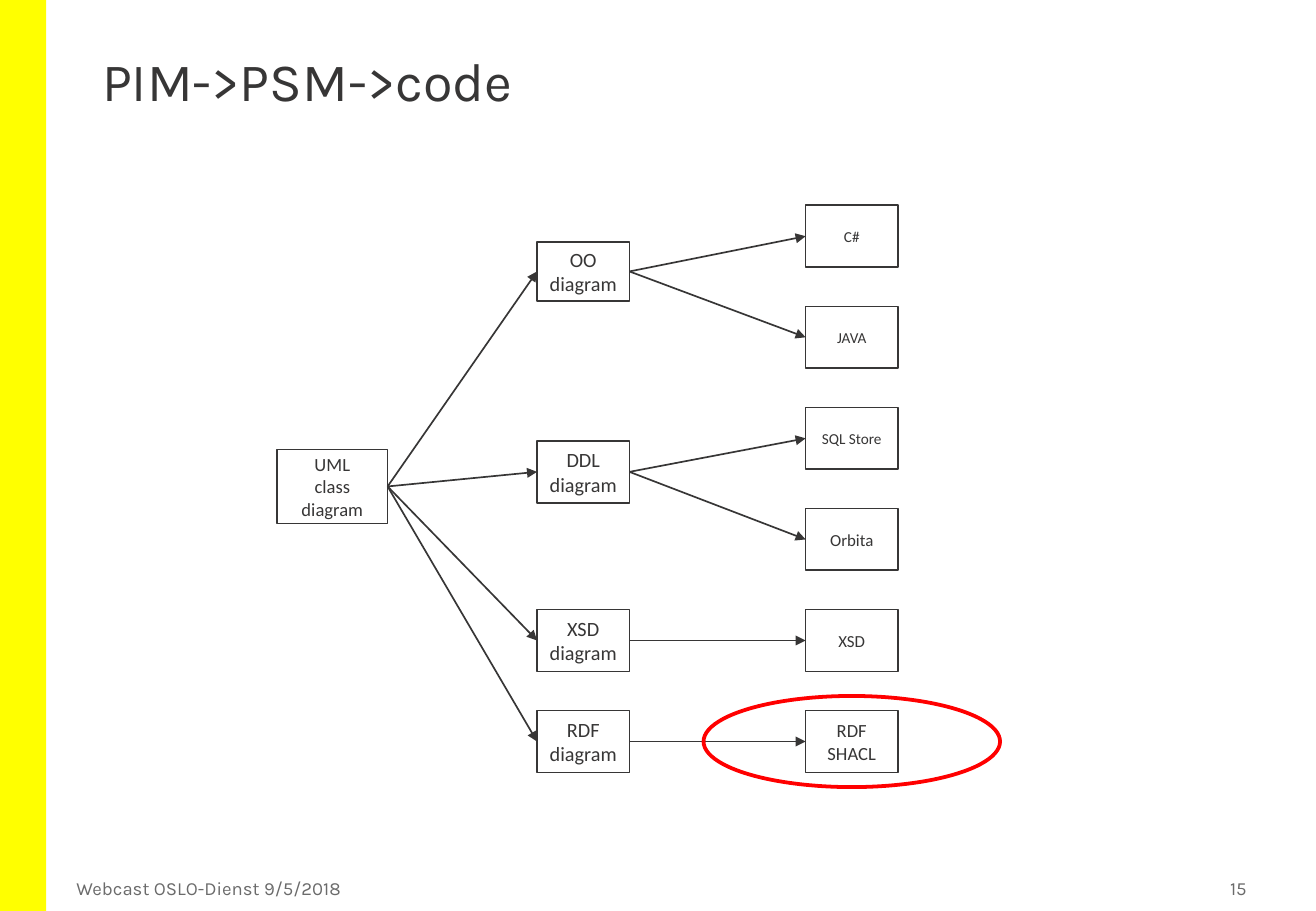
import pptx
import pptx.util
import pptx.dml.color
import pptx.enum.shapes
import pptx.enum.text
import pptx.oxml

Inches = pptx.util.Inches
Shape = pptx.enum.shapes.MSO_SHAPE
Align = pptx.enum.text.PP_ALIGN
Anchor = pptx.enum.text.MSO_ANCHOR

INK = "373636"
GREY = "6B6B6B"
PITCH = 0.832
BOX_W, BOX_H = 0.76, 0.51

# Each branch: label, top from the tree's top, height, leaves (label, size)
BRANCHES = [
    ("OO\ndiagram", 0.3, 0.49, [("C#", 9), ("JAVA", 9)]),
    ("DDL\ndiagram", 1.94, BOX_H, [("SQL Store", 9), ("Orbita", 10)]),
    ("XSD\ndiagram", 4 * PITCH, BOX_H, [("XSD", 10)]),
    ("RDF\ndiagram", 5 * PITCH, BOX_H, [("RDF\nSHACL", 11)]),
]


def tint(code):
    return pptx.dml.color.RGBColor.from_string(code)


def write(frame, text, size, font="Karla", color=INK, align=Align.LEFT,
          anchor=Anchor.MIDDLE, space=None):
    """Fill a text frame, one paragraph for each line."""
    frame.word_wrap = True
    frame.auto_size = pptx.enum.text.MSO_AUTO_SIZE.NONE
    frame.vertical_anchor = anchor
    frame.text = text
    for para in frame.paragraphs:
        para.alignment = align
        para.line_spacing = space
        para.font.size = pptx.util.Pt(size)
        para.font.name = font
        para.font.color.rgb = tint(color)


def draw(slide, kind, left, top, width, height, fill=None, line=None, weight=1):
    shape = slide.shapes.add_shape(
        kind, Inches(left), Inches(top), Inches(width), Inches(height))
    shape.shadow.inherit = False
    if fill:
        shape.fill.solid()
        shape.fill.fore_color.rgb = tint(fill)
    else:
        shape.fill.background()
    if line:
        shape.line.color.rgb = tint(line)
        shape.line.width = pptx.util.Pt(weight)
    else:
        shape.line.fill.background()
    return shape


def node(slide, text, size, left, top, width=BOX_W, height=BOX_H):
    shape = draw(slide, Shape.RECTANGLE, left, top, width, height, line=INK)
    write(shape.text_frame, text, size, font="Calibri", align=Align.CENTER)
    return shape


def join(slide, start, end):
    """Draw an arrow from the right side of start to the left side of end."""
    arrow = slide.shapes.add_connector(
        pptx.enum.shapes.MSO_CONNECTOR.STRAIGHT, 0, 0, 0, 0)
    arrow.begin_connect(start, 3)
    arrow.end_connect(end, 1)
    arrow.line.color.rgb = tint(INK)
    arrow.line.width = pptx.util.Pt(1)
    space = pptx.oxml.ns.nsdecls("a")
    arrow.line._get_or_add_ln().append(
        pptx.oxml.parse_xml(f'<a:tailEnd {space} type="triangle"/>'))
    arrow._element.spPr.append(pptx.oxml.parse_xml(f"<a:effectLst {space}/>"))


def header(slide, left, top, width, height):
    title = slide.shapes.title
    title.left, title.top = Inches(left), Inches(top)
    title.width, title.height = Inches(width), Inches(height)
    write(title.text_frame, "PIM->PSM->code", 32, anchor=Anchor.TOP, space=0.9)


def footer(slide, left, top, width, height):
    note = slide.shapes.add_textbox(
        Inches(left), Inches(top), Inches(6.65), Inches(height))
    write(note.text_frame, "Webcast OSLO-Dienst 9/5/2018", 11, color=GREY)
    page = slide.shapes.add_textbox(
        Inches(left + width - 0.81), Inches(top), Inches(0.81), Inches(height))
    page.text_frame.margin_right = Inches(0.05)
    write(page.text_frame, "15", 11, color=GREY, align=Align.RIGHT)


def tree(slide, left, top):
    root = node(slide, "UML\nclass diagram", 11, left, top + 2.01, 0.91, 0.61)
    leaf_x = left + 4.35
    row = 0
    for label, drop, height, leaves in BRANCHES:
        branch = node(slide, label, 12, left + 2.14, top + drop, height=height)
        join(slide, root, branch)
        for name, size in leaves:
            leaf = node(slide, name, size, leaf_x, top + row * PITCH)
            join(slide, branch, leaf)
            row += 1
    ring_w, ring_h = 2.44, 0.75
    draw(slide, Shape.OVAL, leaf_x + (BOX_W - ring_w) / 2,
         top + (row - 1) * PITCH + (BOX_H - ring_h) / 2,
         ring_w, ring_h, line="FF0000", weight=2.25)


def main():
    deck = pptx.Presentation()
    deck.slide_width, deck.slide_height = Inches(10.83), Inches(7.5)
    slide = deck.slides.add_slide(deck.slide_layouts[5])
    draw(slide, Shape.RECTANGLE, 0, 0, 0.38, 7.5, fill="FFFF00")
    header(slide, 0.74, 0.4, 9.34, 1.08)
    tree(slide, 2.28, 1.69)
    footer(slide, 0.53, 7.17, 9.78, 0.29)
    deck.save("out.pptx")


if __name__ == "__main__":
    main()
